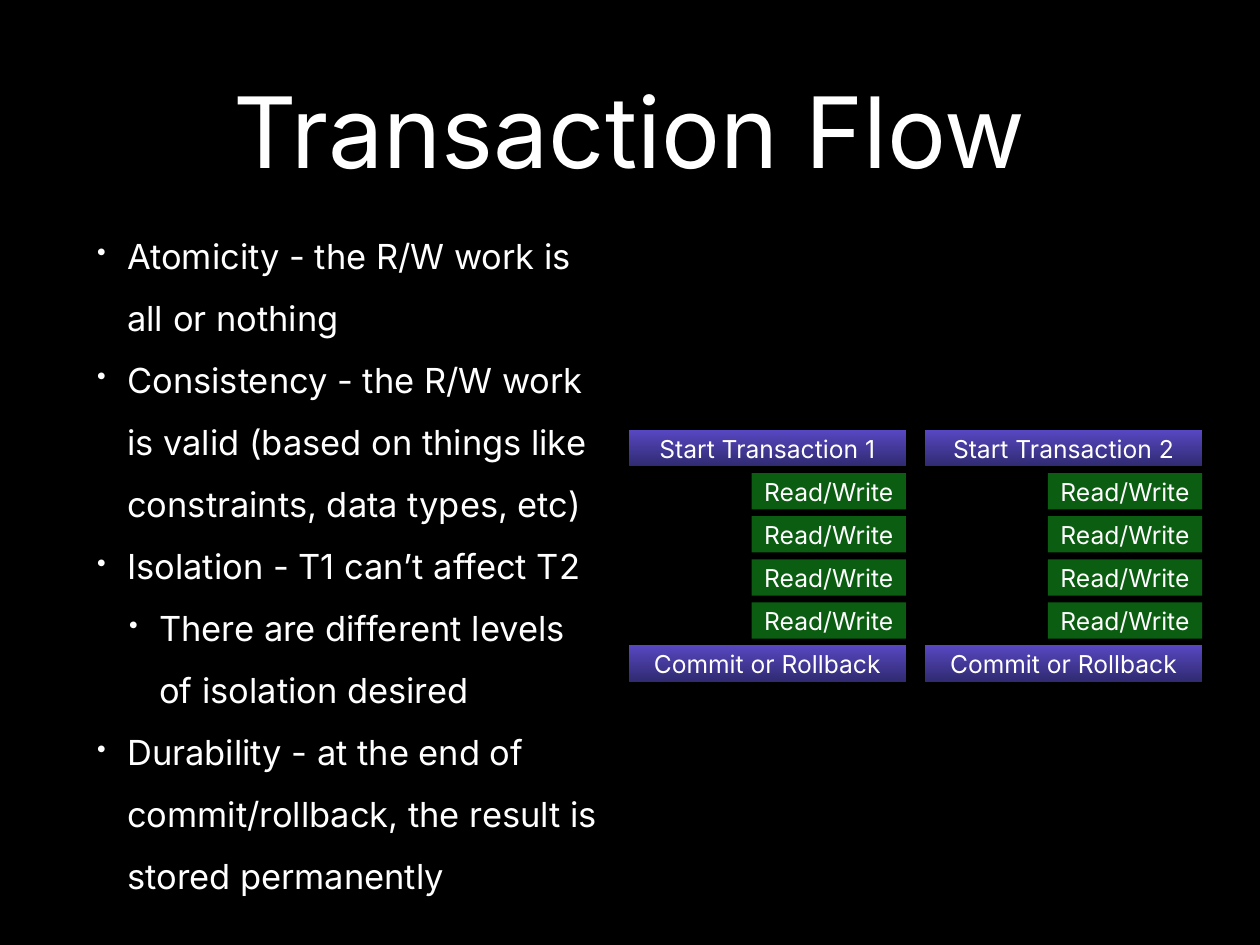
from dataclasses import dataclass

from lxml import etree
from pptx import Presentation
from pptx.dml.color import RGBColor
from pptx.enum.shapes import MSO_SHAPE
from pptx.enum.text import MSO_ANCHOR, PP_ALIGN
from pptx.oxml.ns import qn
from pptx.util import Pt

RECTANGLE = MSO_SHAPE.RECTANGLE
MIDDLE = MSO_ANCHOR.MIDDLE
LEFT = PP_ALIGN.LEFT
CENTER = PP_ALIGN.CENTER


@dataclass(frozen=True)
class Theme:
    font: str = "Inter"
    background: RGBColor = RGBColor(0x00, 0x00, 0x00)
    text: RGBColor = RGBColor(0xFF, 0xFF, 0xFF)
    work: RGBColor = RGBColor(0x0B, 0x5D, 0x11)
    boundary_top: RGBColor = RGBColor(0x57, 0x47, 0xC1)
    boundary_bottom: RGBColor = RGBColor(0x30, 0x2B, 0x71)
    title_size: int = 80
    body_size: int = 28
    step_size: int = 20


THEME = Theme()

PROPERTIES = [
    ("Atomicity - the R/W work is all or nothing", 0),
    ("Consistency - the R/W work is valid (based on things like constraints, data types, etc)", 0),
    ("Isolation - T1 can’t affect T2", 0),
    ("There are different levels of isolation desired", 1),
    ("Durability - at the end of commit/rollback, the result is stored permanently", 0),
]


def write_text(frame, lines, size, align=LEFT, spacing=None, bulleted=False):
    frame.word_wrap = True
    frame.vertical_anchor = MIDDLE
    frame.margin_left = frame.margin_right = Pt(4)
    frame.margin_top = frame.margin_bottom = Pt(4)
    for index, (text, level) in enumerate(lines):
        para = frame.paragraphs[0] if index == 0 else frame.add_paragraph()
        para.alignment = align
        para.level = level
        if spacing:
            para.line_spacing = spacing
        if bulleted:
            add_bullet(para, level)
        span = para.add_run()
        span.text = text
        span.font.name = THEME.font
        span.font.size = Pt(size)
        span.font.color.rgb = THEME.text


def add_bullet(para, level):
    properties = para._p.get_or_add_pPr()
    properties.set("marL", str(Pt(24.5 + 26 * level)))
    properties.set("indent", str(Pt(-24.5)))
    etree.SubElement(properties, qn("a:buSzPct"), val="75000")
    etree.SubElement(properties, qn("a:buChar"), char="•")


def add_text_box(page, left, top, width, height, lines, **text_format):
    box = page.shapes.add_textbox(Pt(left), Pt(top), Pt(width), Pt(height))
    write_text(box.text_frame, lines, **text_format)


def add_step(page, left, top, width, height, text):
    box = page.shapes.add_shape(RECTANGLE, Pt(left), Pt(top), Pt(width), Pt(height))
    box.shadow.inherit = False
    box.line.fill.background()
    write_text(box.text_frame, [(text, 0)], THEME.step_size, align=CENTER)
    return box.fill


def add_boundary(page, left, top, width, height, text):
    fill = add_step(page, left, top, width, height, text)
    fill.gradient()
    fill.gradient_angle = 270
    colors = (THEME.boundary_top, THEME.boundary_bottom)
    for stop, color in zip(fill.gradient_stops, colors):
        stop.color.rgb = color


def add_work(page, left, top, width, height):
    fill = add_step(page, left, top, width, height, "Read/Write")
    fill.solid()
    fill.fore_color.rgb = THEME.work


def add_transaction(page, left, top, width, height, number, work_count=4):
    step_height = 29.5
    work_width = 125.5
    pitch = (height - step_height) / (work_count + 1)
    add_boundary(page, left, top, width, step_height, f"Start Transaction {number}")
    for row in range(1, work_count + 1):
        add_work(page, left + width - work_width, top + row * pitch, work_width, step_height)
    add_boundary(page, left, top + height - step_height, width, step_height, "Commit or Rollback")


def add_transactions(page, left, top, width, height, count=2):
    gap = 15.5
    column_width = (width - gap * (count - 1)) / count
    for index in range(count):
        column_left = left + index * (column_width + gap)
        add_transaction(page, column_left, top, column_width, height, index + 1)


def main():
    deck = Presentation()
    deck.slide_width = Pt(1024)
    deck.slide_height = Pt(768)
    page = deck.slides.add_slide(deck.slide_layouts[6])
    page.background.fill.solid()
    page.background.fill.fore_color.rgb = THEME.background
    add_text_box(page, 75, 20, 874, 170, [("Transaction Flow", 0)],
                 size=THEME.title_size, align=CENTER)
    add_text_box(page, 75, 204, 420, 495, PROPERTIES,
                 size=THEME.body_size, spacing=1.5, bulleted=True)
    add_transactions(page, 511, 349.5, 466, 204.5)
    deck.save("out.pptx")


if __name__ == "__main__":
    main()
